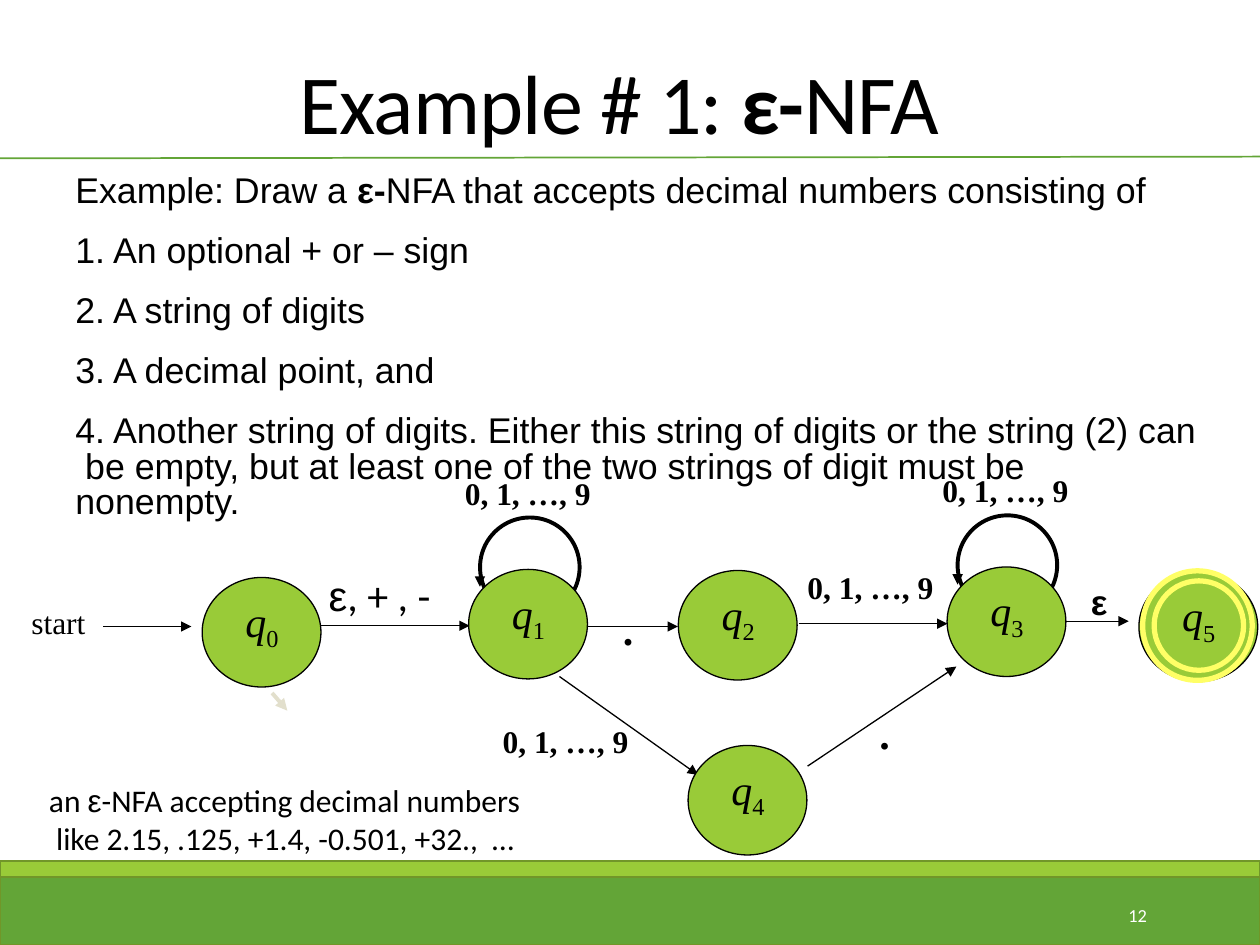
"""Build a slide with an epsilon-NFA state diagram for decimal numbers."""
from dataclasses import dataclass

from lxml import etree
from pptx import Presentation
from pptx.dml.color import RGBColor
from pptx.enum.shapes import MSO_CONNECTOR, MSO_SHAPE
from pptx.enum.text import MSO_ANCHOR, MSO_AUTO_SIZE, PP_ALIGN
from pptx.oxml.ns import qn
from pptx.util import Pt

LEFT, CENTER, RIGHT = PP_ALIGN.LEFT, PP_ALIGN.CENTER, PP_ALIGN.RIGHT
TOP, MIDDLE, BOTTOM = MSO_ANCHOR.TOP, MSO_ANCHOR.MIDDLE, MSO_ANCHOR.BOTTOM
NO_AUTOFIT = MSO_AUTO_SIZE.NONE
RECTANGLE, OVAL = MSO_SHAPE.RECTANGLE, MSO_SHAPE.OVAL
STRAIGHT = MSO_CONNECTOR.STRAIGHT

BLACK = RGBColor(0, 0, 0)
WHITE = RGBColor(255, 255, 255)
GREEN = RGBColor(0x63, 0xA5, 0x37)
LIME = RGBColor(0x99, 0xCB, 0x38)
OLIVE = RGBColor(0x71, 0x96, 0x29)
YELLOW = RGBColor(0xFF, 0xFF, 0x66)
BEIGE = RGBColor(0xE2, 0xDF, 0xCC)

SERIF, SANS, BODY = "Times New Roman", "Arial", "Calibri"
DIGITS = "0, 1, …, 9"
NODE_WIDTH, NODE_HEIGHT = 67.9, 62.6
LOOP_SIZE = 56.9


@dataclass(frozen=True)
class Span:
    text: str
    font: str | None = None
    bold: bool | None = None
    italic: bool | None = None
    baseline: int | None = None


@dataclass(frozen=True)
class Label:
    left: float
    top: float
    width: float
    height: float
    lines: list[list[Span]]
    size: float
    font: str = SERIF
    bold: bool = False
    align: PP_ALIGN = LEFT
    anchor: MSO_ANCHOR = TOP
    color: RGBColor = BLACK


@dataclass(frozen=True)
class Node:
    number: int
    left: float
    top: float


@dataclass(frozen=True)
class Edge:
    x1: float
    y1: float
    x2: float
    y2: float
    color: RGBColor = BLACK
    weight: float = 0.75
    arrow: bool = True


@dataclass(frozen=True)
class Loop:
    left: float
    top: float


NODES = [
    Node(0, 115.5, 330), Node(1, 267.8, 325.4), Node(2, 387.6, 326),
    Node(3, 541.2, 324), Node(4, 393.2, 426), Node(5, 650.8, 326.9),
]
LOOPS = [Loop(274.3, 295.7), Loop(547.2, 294.5)]
EDGES = [
    Edge(59, 358, 109.4, 358),
    Edge(183.6, 357.6, 268.4, 357.6),
    Edge(336.2, 358, 387.4, 358),
    Edge(456.5, 356.4, 541.4, 356.4),
    Edge(594, 355, 645, 355),
    Edge(319.7, 386.6, 398.9, 442.8),
    Edge(461.5, 437.8, 546.5, 380.9),
    Edge(155.5, 396, 164.2, 406.1, BEIGE, 2.25),
]
LABELS = [
    Label(10.8, 341.3, 54, 28.8, [[Span("start")]], 18),
    Label(180.7, 321.8, 96.5, 36, [[Span("ε", SANS), Span(", + , -")]], 24, BODY),
    Label(336.2, 341.3, 45.4, 36, [[Span(".")]], 24, bold=True, align=CENTER),
    Label(454.3, 321.1, 96.5, 28.8, [[Span(DIGITS)]], 18, bold=True),
    Label(280.1, 409, 118.8, 28.8, [[Span(DIGITS)]], 18, bold=True),
    Label(495.4, 401, 28.1, 36, [[Span(".")]], 24, bold=True),
    Label(616.3, 328.3, 33.8, 31, [[Span("ε")]], 20, SANS, bold=True),
    Label(20.9, 442.8, 637.2, 51.1, [
        [Span("an "), Span("ε", SANS), Span("-NFA accepting decimal numbers")],
        [Span(" like 2.15, .125, +1.4, -0.501, +32.,  …")],
    ], 18, BODY),
    Label(584.6, 508.3, 77.8, 28.8, [[Span("12")]], 10.5, BODY,
          align=RIGHT, anchor=MIDDLE, color=WHITE),
]
TASK = Label(36, 96.5, 648, 191.5, [
    [Span("Example: Draw a "), Span("ε-", bold=True),
     Span("NFA that accepts decimal numbers consisting of")],
    [Span("1. An optional + or – sign")],
    [Span("2. A string of digits")],
    [Span("3. A decimal point, and")],
    [Span("4. Another string of digits. Either this string of digits or the string (2) can "
          "\u00a0be empty, but at least one of the two strings of digit must be nonempty.")],
], 20.4, SANS)
TITLE = Label(35.3, 18, 648, 72, [
    [Span("Example # 1: "), Span("ε-", bold=True), Span("NFA ")],
], 48, BODY, align=CENTER, anchor=BOTTOM)


def write(box, label: Label) -> None:
    """Fill a text shape with the lines of a label."""
    frame = box.text_frame
    frame.auto_size = NO_AUTOFIT
    frame.word_wrap = True
    frame.vertical_anchor = label.anchor
    for index, line in enumerate(label.lines):
        para = frame.add_paragraph() if index else frame.paragraphs[0]
        para.alignment = label.align
        para.font.size = Pt(label.size)
        para.font.name = label.font
        para.font.bold = label.bold
        para.font.color.rgb = label.color
        for span in line:
            run = para.add_run()
            run.text = span.text
            run.font.name = span.font
            run.font.bold = span.bold
            run.font.italic = span.italic
            if span.baseline is not None:
                run.font._element.set("baseline", str(span.baseline))


def add_label(page, label: Label):
    """Add a text box for a label."""
    box = page.shapes.add_textbox(
        Pt(label.left), Pt(label.top), Pt(label.width), Pt(label.height))
    write(box, label)
    return box


def add_outline(page, kind: MSO_SHAPE, left: float, top: float, width: float, height: float,
                fill: RGBColor | None, line: RGBColor, weight: float) -> None:
    """Add a preset shape with an optional fill."""
    shape = page.shapes.add_shape(kind, Pt(left), Pt(top), Pt(width), Pt(height))
    shape.shadow.inherit = False
    if fill is None:
        shape.fill.background()
    else:
        shape.fill.solid()
        shape.fill.fore_color.rgb = fill
    shape.line.color.rgb = line
    shape.line.width = Pt(weight)


def add_edge(page, edge: Edge) -> None:
    """Add a straight line, with an arrowhead if wanted."""
    link = page.shapes.add_connector(
        STRAIGHT, Pt(edge.x1), Pt(edge.y1), Pt(edge.x2), Pt(edge.y2))
    link.line.color.rgb = edge.color
    link.line.width = Pt(edge.weight)
    if edge.arrow:
        etree.SubElement(link.line._get_or_add_ln(), qn("a:tailEnd"), type="triangle")
    etree.SubElement(link._element.spPr, qn("a:effectLst"))


def add_loop(page, loop: Loop) -> None:
    """Add a self-loop with its arrow and its label."""
    add_outline(page, OVAL, loop.left, loop.top, LOOP_SIZE, LOOP_SIZE, None, BLACK, 2.25)
    add_edge(page, Edge(loop.left, loop.top + 22.3, loop.left, loop.top + 39.6))
    add_label(page, Label(loop.left - 23.8, loop.top - 28.6, 102.2, 28.8,
                          [[Span(DIGITS)]], 18, bold=True, align=CENTER))


def add_node(page, node: Node) -> None:
    """Add a state with its name."""
    add_outline(page, OVAL, node.left, node.top, NODE_WIDTH, NODE_HEIGHT, LIME, BLACK, 0.75)
    name = [Span("q", italic=True), Span(str(node.number), baseline=-25000)]
    add_label(page, Label(node.left + 17.6, node.top + 6.5, 51.1, 36, [name], 24))


def main() -> None:
    """Build and save the deck."""
    deck = Presentation()
    deck.slide_width, deck.slide_height = Pt(720), Pt(540)
    page = deck.slides.add_slide(deck.slide_layouts[5])

    title = page.shapes.title
    title.left, title.top = Pt(TITLE.left), Pt(TITLE.top)
    title.width, title.height = Pt(TITLE.width), Pt(TITLE.height)
    write(title, TITLE)
    heading = title.text_frame.paragraphs[0]
    heading.line_spacing = 0.85
    for run in heading.runs:
        run.font._element.set("spc", "-50")

    add_outline(page, RECTANGLE, 0, 498.2, 720, 41.8, GREEN, OLIVE, 1.25)
    add_outline(page, RECTANGLE, 0, 491.8, 720, 9.4, LIME, OLIVE, 1.25)
    add_edge(page, Edge(-2, 90.5, 720, 89.5, GREEN, 1, arrow=False))

    task = add_label(page, TASK)
    task.text_frame.margin_left, task.text_frame.margin_right = Pt(7.2), Pt(0)
    for para in task.text_frame.paragraphs:
        para.line_spacing = 0.83
        para.space_before, para.space_after = Pt(12), Pt(2)

    for loop in LOOPS:
        add_loop(page, loop)
    for edge in EDGES:
        add_edge(page, edge)
    for node in NODES:
        add_node(page, node)
    for label in LABELS:
        add_label(page, label)
    for left, top, size in ((659.5, 331.9, 51.1), (653, 326.2, 62.6)):
        add_outline(page, OVAL, left, top, size, size, None, YELLOW, 3)

    deck.save("out.pptx")


main()
